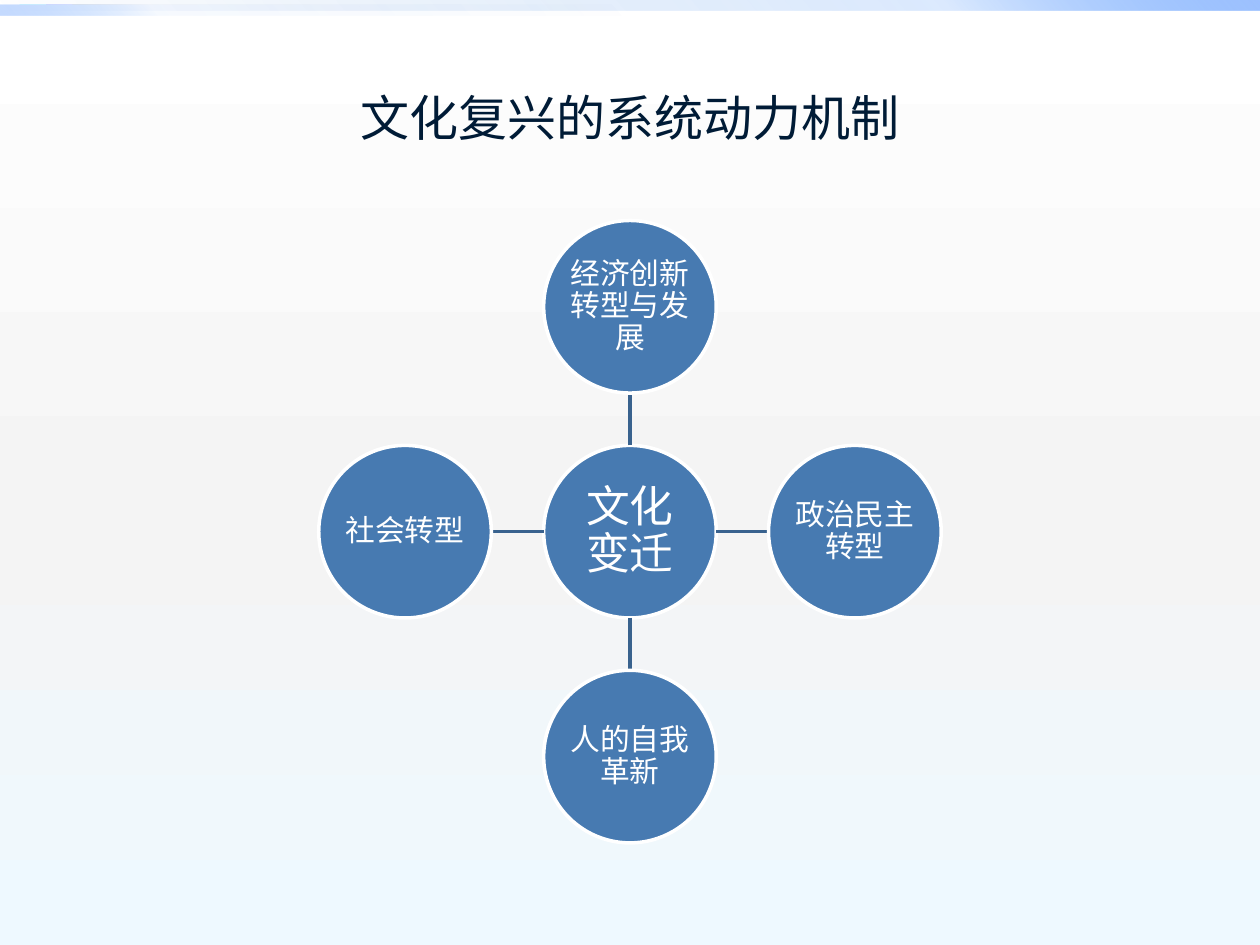
from lxml import etree
from pptx import Presentation
from pptx.dml.color import RGBColor
from pptx.enum.shapes import MSO_CONNECTOR, MSO_SHAPE
from pptx.enum.text import MSO_ANCHOR, PP_ALIGN
from pptx.oxml.ns import qn
from pptx.util import Inches, Pt

WHITE = RGBColor(0xFF, 0xFF, 0xFF)
NAVY = RGBColor(0x00, 0x1B, 0x36)
CIRCLE_BLUE = RGBColor(0x47, 0x7A, 0xB1)
LINE_BLUE = RGBColor(0x39, 0x62, 0x8E)
DEEP_BLUE = RGBColor(0x00, 0x58, 0xB7)
BRIGHT_BLUE = RGBColor(0x4F, 0x95, 0xFF)
PALE_BLUE = RGBColor(0x9E, 0xC2, 0xFF)
LIGHT_GREY = RGBColor(0xF4, 0xF4, 0xF4)
ICE_BLUE = RGBColor(0xEE, 0xF9, 0xFF)


def set_gradient(fill, parent, stops, angle):
    fill.gradient()
    fill.gradient_angle = angle
    stop_list = parent.find(".//" + qn("a:gsLst"))
    for old_stop in list(stop_list):
        stop_list.remove(old_stop)
    for position, color, opacity in stops:
        stop = etree.SubElement(stop_list, qn("a:gs"), pos=str(position * 1000))
        color_element = etree.SubElement(stop, qn("a:srgbClr"), val=str(color))
        etree.SubElement(color_element, qn("a:alpha"), val=str(opacity * 1000))


def add_styled_text(text_frame, text, font_name, size, color):
    text_frame.word_wrap = True
    text_frame.vertical_anchor = MSO_ANCHOR.MIDDLE
    paragraph = text_frame.paragraphs[0]
    paragraph.alignment = PP_ALIGN.CENTER
    run = paragraph.add_run()
    run.text = text
    run.font.name = font_name
    run.font.size = Pt(size)
    run.font.color.rgb = color
    return paragraph


presentation = Presentation()
presentation.slide_width = Inches(10)
presentation.slide_height = Inches(7.5)
slide = presentation.slides.add_slide(presentation.slide_layouts[5])
shapes = slide.shapes

set_gradient(
    slide.background.fill,
    slide.element,
    [(0, WHITE, 100), (55, LIGHT_GREY, 100), (100, ICE_BLUE, 100)],
    270,
)

top_bars = [
    (0, 10, 45, (0, 20, 100)),
    (0.04, 5, 225, (0, 5, 60)),
]
for top, width, angle, opacities in top_bars:
    bar = shapes.add_shape(
        MSO_SHAPE.RECTANGLE, 0, Inches(top), Inches(width), Inches(0.08)
    )
    bar.shadow.inherit = False
    bar.line.fill.background()
    stops = list(zip((0, 75, 100), (DEEP_BLUE, BRIGHT_BLUE, PALE_BLUE), opacities))
    set_gradient(bar.fill, bar.element, stops, angle)

title = shapes.title
title.left, title.top = Inches(0.5), Inches(0.3)
title.width, title.height = Inches(9), Inches(1.25)
add_styled_text(title.text_frame, "文化复兴的系统动力机制", "Roboto", 28, NAVY)

CENTER_X, CENTER_Y = 5, 4.22
DIAMETER = 1.37
RADIUS = DIAMETER / 2
SPACING = 1.785

nodes = [
    ("文化变迁", 0, 0, 25, 0.02),
    ("经济创新转型与发展", 0, -1, 17, 0.01),
    ("政治民主转型", 1, 0, 17, 0.01),
    ("人的自我革新", 0, 1, 17, 0.01),
    ("社会转型", -1, 0, 17, 0.01),
]
for text, step_x, step_y, size, margin in nodes:
    if step_x or step_y:
        start, end = RADIUS, SPACING - RADIUS
        connector = shapes.add_connector(
            MSO_CONNECTOR.STRAIGHT,
            Inches(CENTER_X + step_x * start),
            Inches(CENTER_Y + step_y * start),
            Inches(CENTER_X + step_x * end),
            Inches(CENTER_Y + step_y * end),
        )
        connector.line.color.rgb = LINE_BLUE
        connector.line.width = Pt(2)
        etree.SubElement(connector.element.spPr, qn("a:effectLst"))

    circle = shapes.add_shape(
        MSO_SHAPE.OVAL,
        Inches(CENTER_X + step_x * SPACING - RADIUS),
        Inches(CENTER_Y + step_y * SPACING - RADIUS),
        Inches(DIAMETER),
        Inches(DIAMETER),
    )
    circle.shadow.inherit = False
    circle.fill.solid()
    circle.fill.fore_color.rgb = CIRCLE_BLUE
    circle.line.color.rgb = WHITE
    circle.line.width = Pt(2)
    frame = circle.text_frame
    frame.margin_left = frame.margin_right = Inches(margin)
    frame.margin_top = frame.margin_bottom = Inches(margin)
    paragraph = add_styled_text(frame, text, "Cambria", size, WHITE)
    paragraph.line_spacing = 0.9

presentation.save("out.pptx")
